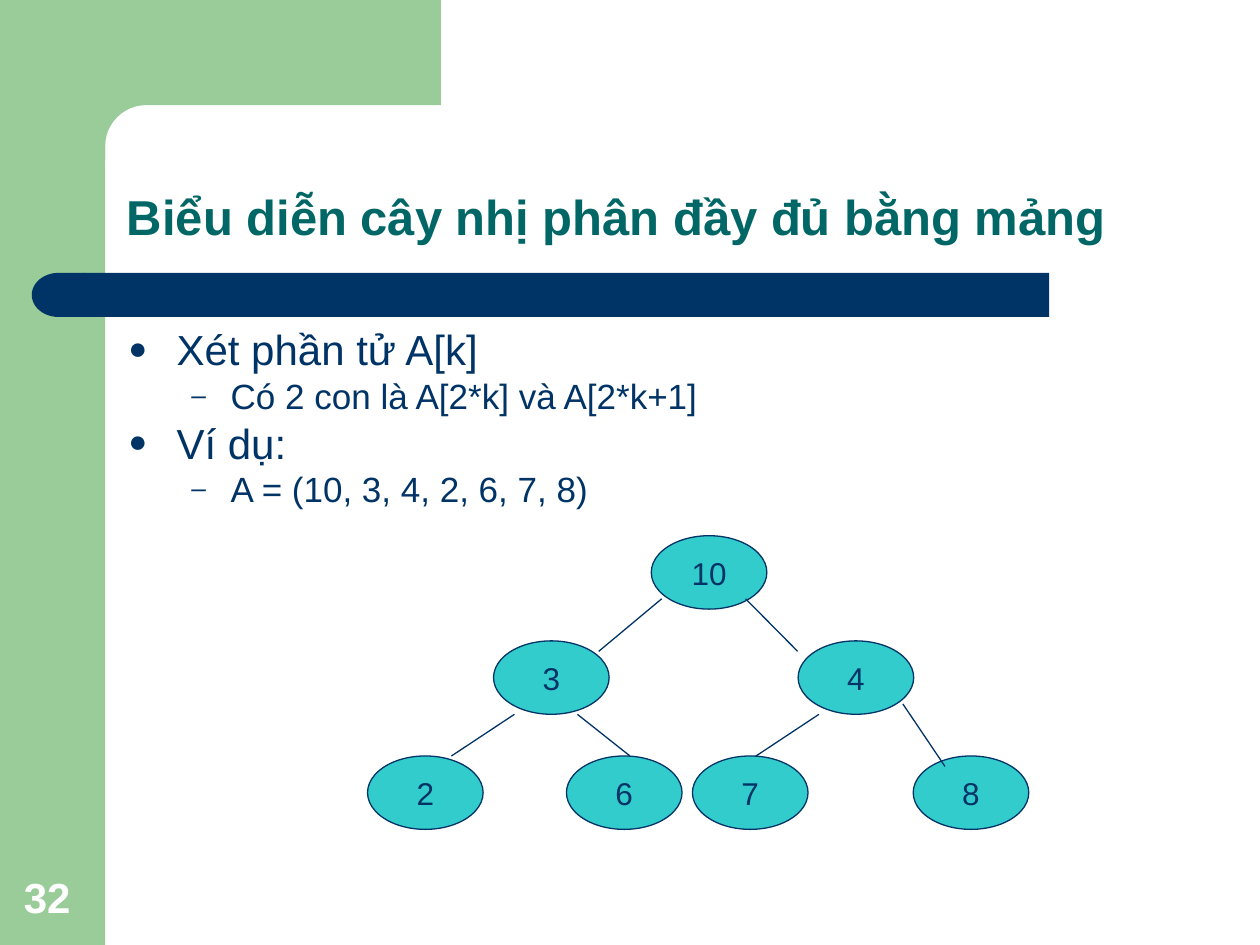
from math import cos, pi, sin

from lxml.etree import SubElement
from pptx import Presentation
from pptx.dml.color import RGBColor
from pptx.enum.shapes import MSO_CONNECTOR as Connector, MSO_SHAPE as Shape
from pptx.enum.text import MSO_ANCHOR as Anchor, PP_ALIGN as Align
from pptx.oxml.ns import qn
from pptx.util import Cm, Pt

GREEN = RGBColor(0x99, 0xCC, 0x99)
NAVY = RGBColor(0x00, 0x33, 0x66)
TEAL = RGBColor(0x00, 0x66, 0x66)
TURQUOISE = RGBColor(0x33, 0xCC, 0xCC)
WHITE = RGBColor(0xFF, 0xFF, 0xFF)

BULLETS = [
    (0, "Xét phần tử A[k]"),
    (1, "Có 2 con là A[2*k] và A[2*k+1]"),
    (0, "Ví dụ:"),
    (1, "A = (10, 3, 4, 2, 6, 7, 8)"),
]
# Per level: bullet sign, left margin, hanging indent (cm), size, space before (pt)
LEVELS = [("●", 0.97, 0.97, 24, 6), ("–", 2.06, 0.79, 20, 5)]

# Tree levels: top of the row, then (label, left) of each node, in cm
NODE_WIDTH, NODE_HEIGHT = 2.33, 1.48
TREE_ROWS = [
    (0, [("10", 5.72)]),
    (2.12, [("3", 2.54), ("4", 8.68)]),
    (4.44, [("2", 0), ("6", 4.01), ("7", 6.55), ("8", 11)]),
]
TREE_EDGES = [
    (5.93, 1.27, 4.66, 2.33), (7.62, 1.27, 8.67, 2.33),
    (2.96, 3.6, 1.69, 4.44), (4.23, 3.6, 5.29, 4.44),
    (9.1, 3.6, 7.83, 4.44), (10.79, 3.39, 11.64, 4.65),
]


def set_format(target, values):
    for name, value in values.items():
        setattr(target, name, value)


def paint(shape, color):
    shape.shadow.inherit = False
    shape.fill.solid()
    shape.fill.fore_color.rgb = color
    shape.line.fill.background()


def add_block(slide, kind, left, top, width, height, color):
    shape = slide.shapes.add_shape(kind, Cm(left), Cm(top), Cm(width), Cm(height))
    paint(shape, color)
    return shape


def set_font(paragraph, size, color, bold=False):
    set_format(paragraph.font, {"name": "Arial", "size": Pt(size), "bold": bold})
    paragraph.font.color.rgb = color


def add_frame(slide, box, anchor):
    frame = slide.shapes.add_textbox(*map(Cm, box)).text_frame
    set_format(frame, {"word_wrap": True, "vertical_anchor": anchor})
    return frame


def add_sidebar(slide, box):
    """Green side band with a top step joined by a rounded inner corner."""
    left, top, width, height = box
    add_block(slide, Shape.RECTANGLE, left, top, width, height, GREEN)
    inner, step, radius = left + width, top + 2.12, 0.83
    right, start = left + 8.89, left + 1.27
    angles = [pi / 2 * i / 12 for i in range(13)]
    arc = [(inner + radius - radius * sin(a), step + radius - radius * cos(a))
           for a in angles]
    points = [(right, step), *arc, (inner, step + 1.13), (start, step + 1.13), (start, top)]
    builder = slide.shapes.build_freeform(Cm(right), Cm(top))
    builder.add_line_segments([(Cm(x), Cm(y)) for x, y in points], close=True)
    paint(builder.convert_to_shape(), GREEN)


def add_title_bar(slide, box):
    """Navy bar with a round left end."""
    left, top, width, height = box
    cap = 1.08
    add_block(slide, Shape.RECTANGLE, left + cap - 0.02, top, width - cap, height, NAVY)
    end = add_block(slide, Shape.FLOWCHART_DELAY, left, top, cap, height, NAVY)
    end.rotation = 180


def add_heading(slide, box, text, size, color, line_spacing):
    paragraph = add_frame(slide, box, Anchor.BOTTOM).paragraphs[0]
    set_format(paragraph, {"text": text, "line_spacing": line_spacing})
    set_font(paragraph, size, color, bold=True)


def add_bullets(slide, box):
    frame = add_frame(slide, box, Anchor.TOP)
    for index, (level, text) in enumerate(BULLETS):
        sign, margin, hanging, size, before = LEVELS[level]
        paragraph = frame.add_paragraph() if index else frame.paragraphs[0]
        set_format(paragraph, {
            "text": text, "level": level, "line_spacing": 0.8,
            "space_before": Pt(before if index else 0),
        })
        properties = paragraph._p.get_or_add_pPr()
        properties.set("marL", str(Cm(margin)))
        properties.set("indent", str(-Cm(hanging)))
        bullet_color = SubElement(properties, qn("a:buClr"))
        SubElement(bullet_color, qn("a:srgbClr"), val=str(NAVY))
        SubElement(properties, qn("a:buSzPct"), val="75000")
        SubElement(properties, qn("a:buFont"), typeface="Arial")
        SubElement(properties, qn("a:buChar"), char=sign)
        set_font(paragraph, size, NAVY)


def add_tree(slide, left, top):
    # Nodes
    for row_top, nodes in TREE_ROWS:
        for label, node_left in nodes:
            node = add_block(slide, Shape.OVAL, left + node_left, top + row_top,
                             NODE_WIDTH, NODE_HEIGHT, TURQUOISE)
            node.line.color.rgb = NAVY
            node.line.width = Pt(0.75)
            frame = node.text_frame
            set_format(frame, {"word_wrap": False, "vertical_anchor": Anchor.MIDDLE})
            paragraph = frame.paragraphs[0]
            set_format(paragraph, {"text": label, "alignment": Align.CENTER})
            set_font(paragraph, 18, NAVY)
    # Edges from parent to child
    for x1, y1, x2, y2 in TREE_EDGES:
        edge = slide.shapes.add_connector(
            Connector.STRAIGHT, Cm(left + x1), Cm(top + y1), Cm(left + x2), Cm(top + y2))
        edge.line.color.rgb = NAVY
        edge.line.width = Pt(0.75)
        SubElement(edge._element.spPr, qn("a:effectLst"))


def main():
    presentation = Presentation()
    set_format(presentation, {"slide_width": Cm(25.4), "slide_height": Cm(19.05)})
    slide = presentation.slides.add_slide(presentation.slide_layouts[6])
    add_sidebar(slide, (0, 0, 2.12, 19.05))
    add_title_bar(slide, (0.64, 5.5, 20.53, 0.89))
    add_heading(slide, (0.23, 17.35, 1.63, 1.35), "32", 24, WHITE, 1.0)
    add_heading(slide, (2.31, 2.31, 21.62, 2.77),
                "Biểu diễn cây nhị phân đầy đủ bằng mảng", 28, TEAL, 0.9)
    add_bullets(slide, (2.34, 6.6, 21.36, 4.01))
    add_tree(slide, 7.41, 10.8)
    presentation.save("out.pptx")


if __name__ == "__main__":
    main()
